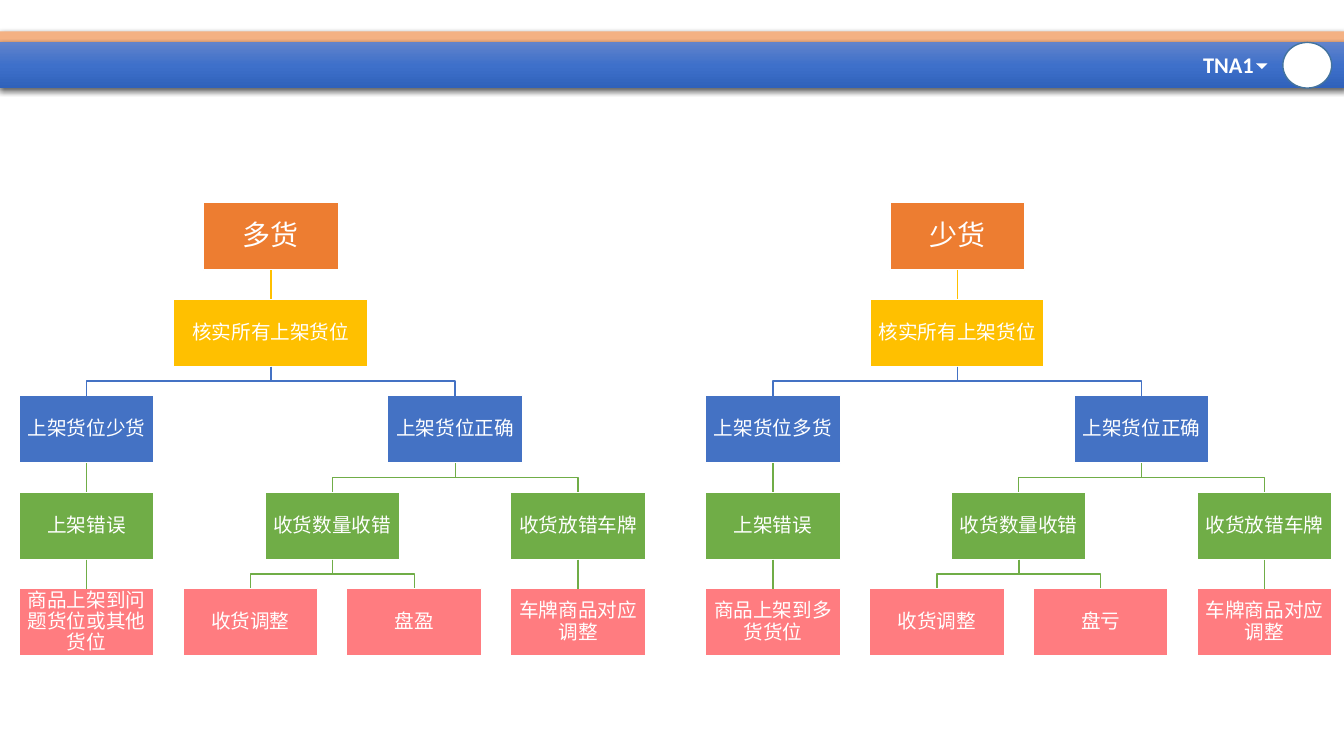
from lxml import etree
from pptx import Presentation
from pptx.dml.color import RGBColor
from pptx.enum.shapes import MSO_CONNECTOR, MSO_SHAPE
from pptx.enum.text import MSO_ANCHOR, PP_ALIGN
from pptx.oxml.ns import qn
from pptx.util import Cm, Pt

STRAIGHT = MSO_CONNECTOR.STRAIGHT
RECTANGLE, OVAL, TRIANGLE = MSO_SHAPE.RECTANGLE, MSO_SHAPE.OVAL, MSO_SHAPE.RIGHT_TRIANGLE
CENTER, MIDDLE = PP_ALIGN.CENTER, MSO_ANCHOR.MIDDLE
BOTTOM_SITE, TOP_SITE = 2, 0

COLORS = {
    "white": "FFFFFF", "black": "000000", "peach": "F4B183", "outline": "43739E",
    "orange": "ED7D31", "yellow": "FFC000", "blue": "4472C4", "green": "70AD47",
    "pink": "FF7C80", "bar_top": "6183CB", "bar_middle": "3E70CA", "bar_bottom": "3062BB",
}
LEVEL_FILLS = ["orange", "yellow", "blue", "green", "pink"]
LEVEL_LINES = [None, "yellow", "blue", "green", "green"]

# Grid of the trees, in centimetres
SLIDE_WIDTH, SLIDE_HEIGHT = 33.87, 19.05
FIRST_CENTER, COLUMN_PITCH = 2.18, 4.13
FIRST_TOP, ROW_PITCH = 5.11, 2.43
NODE_WIDTH, NODE_HEIGHT = 3.4, 1.7
TREE_OFFSET = 17.3


def tree(title, check_width, wrong_place, remedy, count_result):
    """Nodes are (text, column, width, children)."""
    return (title, 1.125, NODE_WIDTH, [
        ("核实所有上架货位", 1.125, check_width, [
            (wrong_place, 0, NODE_WIDTH, [
                ("上架错误", 0, NODE_WIDTH, [(remedy, 0, NODE_WIDTH, [])]),
            ]),
            ("上架货位正确", 2.25, NODE_WIDTH, [
                ("收货数量收错", 1.5, NODE_WIDTH, [
                    ("收货调整", 1, NODE_WIDTH, []),
                    (count_result, 2, NODE_WIDTH, []),
                ]),
                ("收货放错车牌", 3, NODE_WIDTH, [
                    ("车牌商品对应调整", 3, NODE_WIDTH, []),
                ]),
            ]),
        ]),
    ])


TREES = [
    tree("多货", 4.9, "上架货位少货", "商品上架到问题货位或其他货位", "盘盈"),
    tree("少货", 4.37, "上架货位多货", "商品上架到多货货位", "盘亏"),
]


class SlideBuilder:
    font_name = "Calibri"

    def __init__(self, slide):
        self.slide = slide

    def color(self, name):
        return RGBColor.from_string(COLORS[name])

    def set_line(self, shape, name):
        shape.line.color.rgb = self.color(name)
        shape.line.width = Pt(1)

    def shape(self, kind, left, top, width, height, fill, line=None):
        shape = self.slide.shapes.add_shape(kind, Cm(left), Cm(top), Cm(width), Cm(height))
        shape.shadow.inherit = False
        shape.fill.solid()
        shape.fill.fore_color.rgb = self.color(fill)
        if line:
            self.set_line(shape, line)
        else:
            shape.line.fill.background()
        return shape

    def gradient(self, shape, names):
        shape.fill.gradient()
        gradient = shape._element.spPr.find(qn("a:gradFill"))
        for child in list(gradient):
            gradient.remove(child)
        stops = etree.SubElement(gradient, qn("a:gsLst"))
        for index, name in enumerate(names):
            position = 100000 * index // (len(names) - 1)
            stop = etree.SubElement(stops, qn("a:gs"), pos=str(position))
            etree.SubElement(stop, qn("a:srgbClr"), val=COLORS[name])
        etree.SubElement(gradient, qn("a:lin"), ang="5400000", scaled="0")

    def shadow(self, shape):
        effects = shape._element.spPr.find(qn("a:effectLst"))
        shadow = etree.SubElement(effects, qn("a:outerShdw"), blurRad=str(Pt(4.5)),
                                  dist=str(Pt(1.5)), dir="5400000", rotWithShape="0")
        color = etree.SubElement(shadow, qn("a:srgbClr"), val=COLORS["black"])
        etree.SubElement(color, qn("a:alpha"), val="63000")

    def format_paragraph(self, paragraph, size, bold=False):
        paragraph.font.name = self.font_name
        paragraph.font.size = Pt(size)
        paragraph.font.bold = bold
        paragraph.font.color.rgb = self.color("white")

    def label(self, text, left, top, width, height, size):
        frame = self.slide.shapes.add_textbox(Cm(left), Cm(top), Cm(width), Cm(height)).text_frame
        frame.word_wrap = False
        frame.text = text
        self.format_paragraph(frame.paragraphs[0], size, bold=True)

    def node(self, text, center, top, width, fill, size):
        shape = self.shape(RECTANGLE, center - width / 2, top, width, NODE_HEIGHT, fill, "white")
        frame = shape.text_frame
        frame.word_wrap = True
        frame.vertical_anchor = MIDDLE
        frame.margin_left = frame.margin_right = Cm(0.03)
        frame.margin_top = frame.margin_bottom = Cm(0.03)
        frame.text = text
        paragraph = frame.paragraphs[0]
        paragraph.alignment = CENTER
        paragraph.line_spacing = 0.9
        self.format_paragraph(paragraph, size)
        return shape

    def straight_link(self, parent, child, color):
        link = self.slide.shapes.add_connector(STRAIGHT, 0, 0, 0, 0)
        link.begin_connect(parent, BOTTOM_SITE)
        link.end_connect(child, TOP_SITE)
        self.set_line(link, color)
        etree.SubElement(link._element.spPr, qn("a:effectLst"))

    def bent_link(self, parent, child, color):
        start_x = parent.left + parent.width // 2
        start_y = parent.top + parent.height
        end_x = child.left + child.width // 2
        middle_y = (start_y + child.top) // 2
        builder = self.slide.shapes.build_freeform(start_x, start_y)
        builder.add_line_segments(
            [(start_x, middle_y), (end_x, middle_y), (end_x, child.top)], close=False)
        link = builder.convert_to_shape()
        link.shadow.inherit = False
        link.fill.background()
        self.set_line(link, color)

    def branch(self, node, offset, level=0):
        text, column, width, children = node
        shape = self.node(text, offset + FIRST_CENTER + column * COLUMN_PITCH,
                          FIRST_TOP + level * ROW_PITCH, width,
                          LEVEL_FILLS[level], 14 if level else 20)
        for child in children:
            child_shape = self.branch(child, offset, level + 1)
            link = self.straight_link if child[1] == column else self.bent_link
            link(shape, child_shape, LEVEL_LINES[level + 1])
        return shape


def main():
    presentation = Presentation()
    presentation.slide_width, presentation.slide_height = Cm(SLIDE_WIDTH), Cm(SLIDE_HEIGHT)
    builder = SlideBuilder(presentation.slides.add_slide(presentation.slide_layouts[6]))

    # Header band
    stripe = builder.shape(RECTANGLE, 0, 0.79, SLIDE_WIDTH, 0.28, "peach")
    bar = builder.shape(RECTANGLE, 0, 1.07, SLIDE_WIDTH, 1.15, "blue")
    builder.gradient(bar, ["bar_top", "bar_middle", "bar_bottom"])
    for band in (stripe, bar):
        builder.shadow(band)

    # Site selector
    builder.shape(OVAL, 32.33, 1.07, 1.23, 1.15, "white", "outline")
    builder.label("TNA1", 30.07, 1.17, 1.8, 0.94, 16)
    arrow = builder.shape(TRIANGLE, 31.7, 1.5, 0.2, 0.2, "white")
    arrow.rotation = 314.5

    # Decision trees
    for index, root in enumerate(TREES):
        builder.branch(root, index * TREE_OFFSET)

    presentation.save("out.pptx")


if __name__ == "__main__":
    main()
